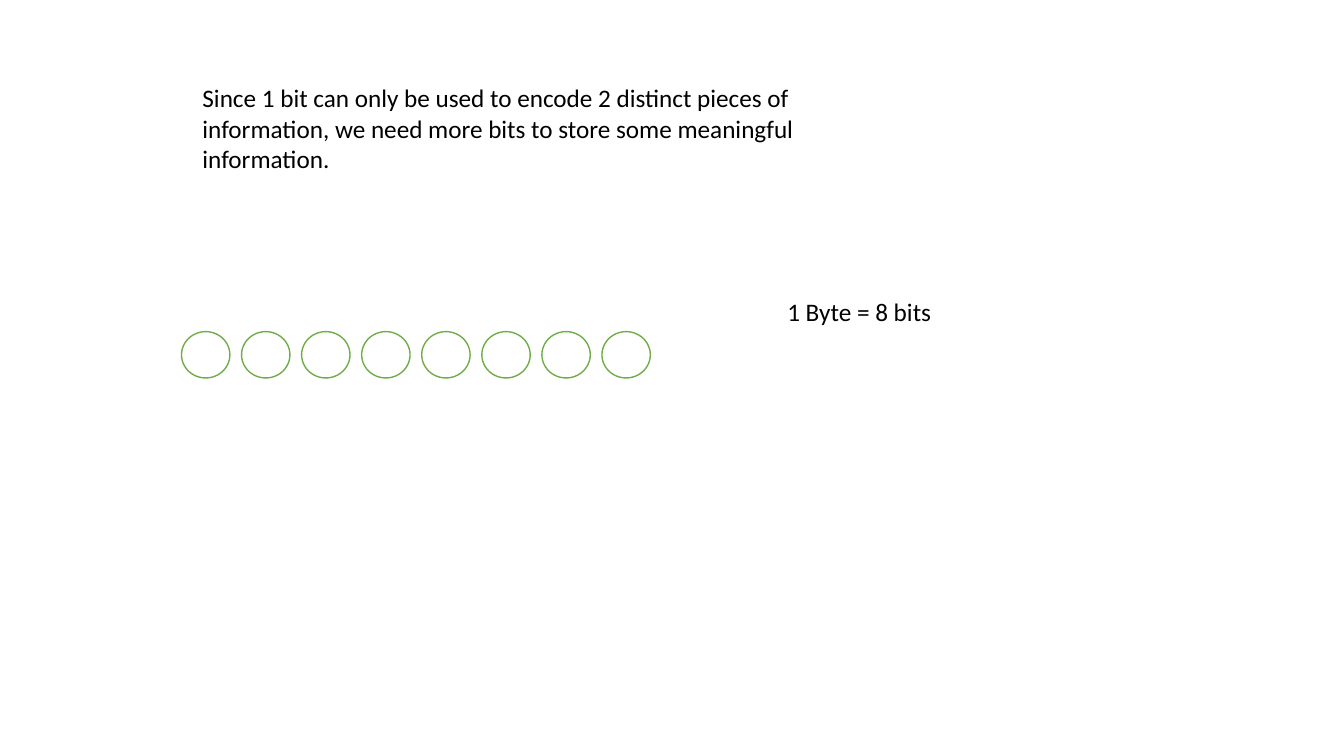
import pptx
import pptx.dml.color
import pptx.enum.shapes
import pptx.enum.text
import pptx.util

COLORS = {"paper": "FFFFFF", "ink": "000000", "bit": "70AD47"}
FONT = "Calibri"
BIT_COUNT = 8


def color(name):
    return pptx.dml.color.RGBColor.from_string(COLORS[name])


def inches(*lengths):
    return [pptx.util.Inches(length) for length in lengths]


def add_text(page, box, text, size=18, ink="ink"):
    label = page.shapes.add_textbox(*inches(*box))
    frame = label.text_frame
    frame.word_wrap = True
    frame.auto_size = pptx.enum.text.MSO_AUTO_SIZE.SHAPE_TO_FIT_TEXT
    span = frame.paragraphs[0].add_run()
    span.text = text
    span.font.name = FONT
    span.font.size = pptx.util.Pt(size)
    span.font.color.rgb = color(ink)


def add_byte(page, box, circle_width=0.48):
    left, top, width, height = box
    pitch = (width - circle_width) / (BIT_COUNT - 1)
    byte = page.shapes.add_group_shape()
    for index in range(BIT_COUNT):
        bit = byte.shapes.add_shape(
            pptx.enum.shapes.MSO_SHAPE.OVAL,
            *inches(left + index * pitch, top, circle_width, height),
        )
        bit.shadow.inherit = False
        bit.fill.solid()
        bit.fill.fore_color.rgb = color("paper")
        bit.line.color.rgb = color("bit")
        bit.line.width = pptx.util.Pt(1)


def main():
    deck = pptx.Presentation()
    deck.slide_width, deck.slide_height = inches(13.33, 7.5)
    page = deck.slides.add_slide(deck.slide_layouts.get_by_name("Blank"))
    add_byte(page, (1.8, 3.29, 4.65, 0.46))
    add_text(page, (7.71, 2.89, 1.91, 0.4), "1 Byte = 8 bits")
    add_text(
        page,
        (1.91, 0.77, 6.6, 1.01),
        "Since 1 bit can only be used to encode 2 distinct pieces of information, "
        "we need more bits to store some meaningful information.",
    )
    deck.save("out.pptx")


if __name__ == "__main__":
    main()
